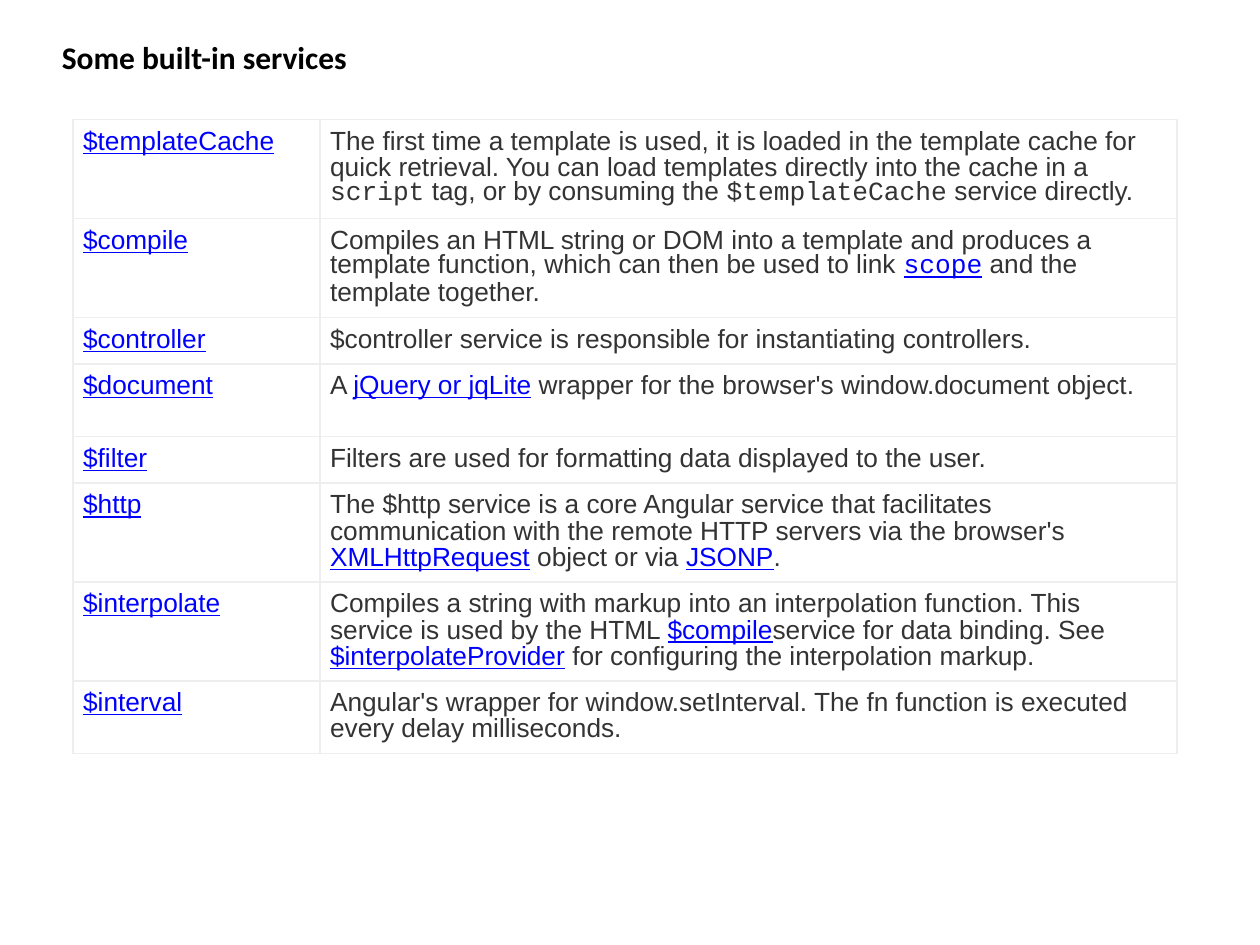
from dataclasses import dataclass

from lxml.etree import SubElement
from pptx import Presentation
from pptx.dml.color import RGBColor
from pptx.enum.text import MSO_ANCHOR, MSO_AUTO_SIZE, PP_ALIGN
from pptx.oxml.ns import qn
from pptx.util import Inches, Pt

SLIDE_W, SLIDE_H = Inches(10), Inches(7.5)
COLORS = {"title": "000000", "text": "333333", "link": "0000FF",
          "border": "EEEEEE", "cell": "FFFFFF"}
LINE = Pt(15)
CELL_MARGIN = Inches(0.08)
COLUMNS = (Inches(1.96), Inches(6.8))


@dataclass(frozen=True)
class Style:
    color: str
    font: str = "Arial"
    underline: bool = False


PLAIN = Style("text")
CODE = Style("text", "Courier New")
LINK = Style("link", underline=True)
CODE_LINK = Style("link", "Courier New", True)


@dataclass(frozen=True)
class Service:
    name: str
    lines: int
    description: tuple


SERVICES = (
    Service("$templateCache", 3, (
        ("The first time a template is used, it is loaded in the template cache for "
         "quick retrieval. You can load templates directly into the cache in a ", PLAIN),
        ("script", CODE),
        (" tag, or by consuming the ", PLAIN),
        ("$templateCache", CODE),
        (" service directly.", PLAIN))),
    Service("$compile", 3, (
        ("Compiles an HTML string or DOM into a template and produces a template "
         "function, which can then be used to link ", PLAIN),
        ("scope", CODE_LINK),
        (" and the template together.", PLAIN))),
    Service("$controller", 1, (
        ("$controller service is responsible for instantiating controllers.", PLAIN),)),
    Service("$document", 2, (
        ("A ", PLAIN),
        ("jQuery or jqLite", LINK),
        (" wrapper for the browser's window.document object.", PLAIN))),
    Service("$filter", 1, (
        ("Filters are used for formatting data displayed to the user.", PLAIN),)),
    Service("$http", 3, (
        ("The $http service is a core Angular service that facilitates communication "
         "with the remote HTTP servers via the browser's ", PLAIN),
        ("XMLHttpRequest", LINK),
        (" object or via ", PLAIN),
        ("JSONP", LINK),
        (".", PLAIN))),
    Service("$interpolate", 3, (
        ("Compiles a string with markup into an interpolation function. This service "
         "is used by the HTML ", PLAIN),
        ("$compile", LINK),
        ("service for data binding. See ", PLAIN),
        ("$interpolateProvider", LINK),
        (" for configuring the interpolation markup.", PLAIN))),
    Service("$interval", 2, (
        ("Angular's wrapper for window.setInterval. The fn function is executed "
         "every delay milliseconds.", PLAIN),)),
)


def rgb(key: str) -> RGBColor:
    return RGBColor.from_string(COLORS[key])


def add_title(slide, text: str) -> None:
    title = slide.shapes.title
    title.left, title.top = Inches(0.39), Inches(0.25)
    title.width, title.height = Inches(8.5), Inches(1.62)
    frame = title.text_frame
    frame.auto_size = MSO_AUTO_SIZE.NONE
    frame.vertical_anchor = MSO_ANCHOR.TOP
    frame.word_wrap = True
    paragraph = frame.paragraphs[0]
    paragraph.alignment = PP_ALIGN.LEFT
    run = paragraph.add_run()
    run.text = text
    run.font.name, run.font.size, run.font.bold = "Calibri", Pt(18), True
    run.font.color.rgb = rgb("title")


def add_borders(cell) -> None:
    """Draw a thin line on all four sides; borders must precede the cell fill."""
    properties = cell._tc.get_or_add_tcPr()
    for side in ("lnL", "lnR", "lnT", "lnB"):
        line = SubElement(properties, qn(f"a:{side}"), w=str(Pt(1)))
        fill = SubElement(line, qn("a:solidFill"))
        SubElement(fill, qn("a:srgbClr"), val=COLORS["border"])


def fill_cell(cell, runs: tuple, space_after: Pt) -> None:
    add_borders(cell)
    cell.fill.solid()
    cell.fill.fore_color.rgb = rgb("cell")
    cell.margin_left = cell.margin_right = CELL_MARGIN
    cell.margin_top = cell.margin_bottom = CELL_MARGIN
    cell.vertical_anchor = MSO_ANCHOR.TOP
    paragraph = cell.text_frame.paragraphs[0]
    paragraph.line_spacing = LINE
    paragraph.space_after = space_after
    for text, style in runs:
        run = paragraph.add_run()
        run.text = text
        run.font.name, run.font.size = style.font, Pt(15)
        run.font.underline = style.underline
        run.font.color.rgb = rgb(style.color)


def add_services(slide, services: tuple) -> None:
    heights = [service.lines * LINE + 2 * CELL_MARGIN for service in services]
    table = slide.shapes.add_table(
        len(services), len(COLUMNS), Inches(0.58), Inches(0.95),
        sum(COLUMNS), sum(heights)).table
    table.first_row = table.horz_banding = False
    for column, width in zip(table.columns, COLUMNS):
        column.width = width
    for row, height, service in zip(table.rows, heights, services):
        row.height = height
        fill_cell(row.cells[0], ((service.name, LINK),), Pt(0))
        fill_cell(row.cells[1], service.description, Pt(7.5))


def main() -> None:
    deck = Presentation()
    deck.slide_width, deck.slide_height = SLIDE_W, SLIDE_H
    slide = deck.slides.add_slide(deck.slide_layouts.get_by_name("Title Only"))
    add_title(slide, "Some built-in services")
    add_services(slide, SERVICES)
    deck.save("out.pptx")


if __name__ == "__main__":
    main()
